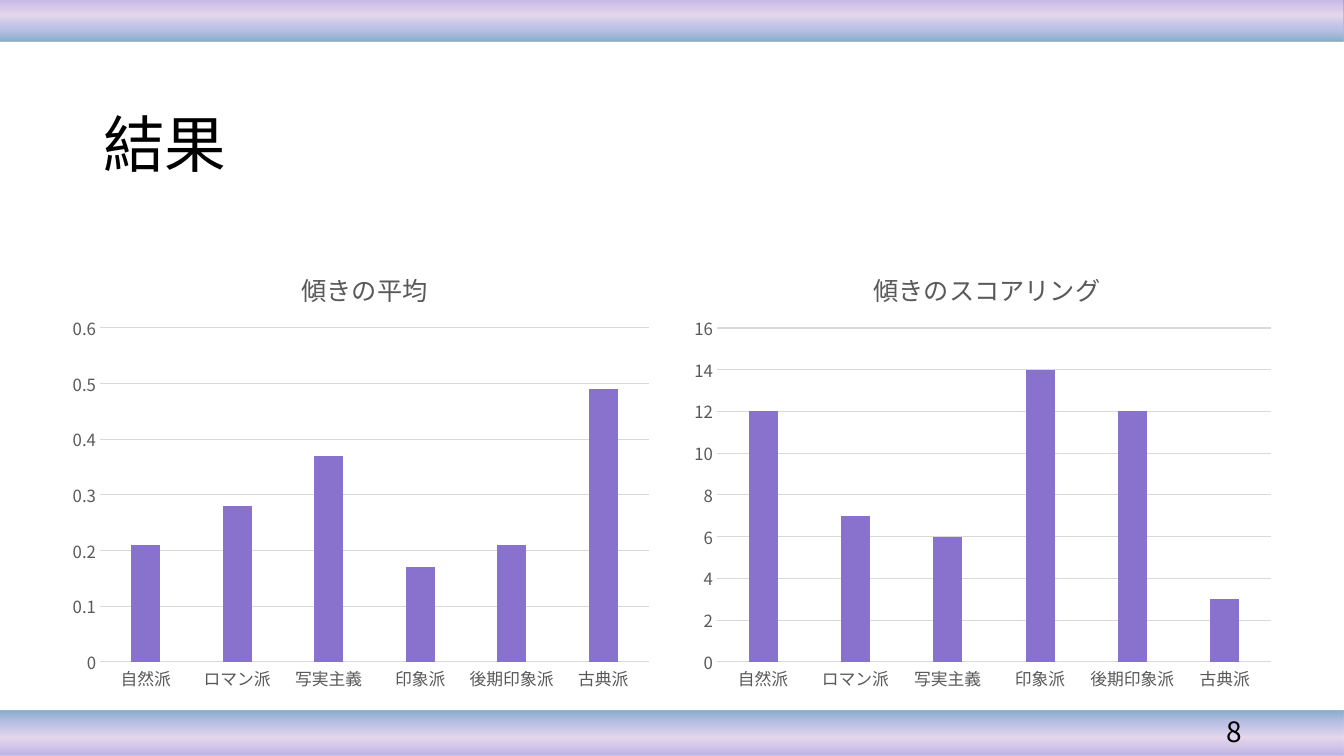
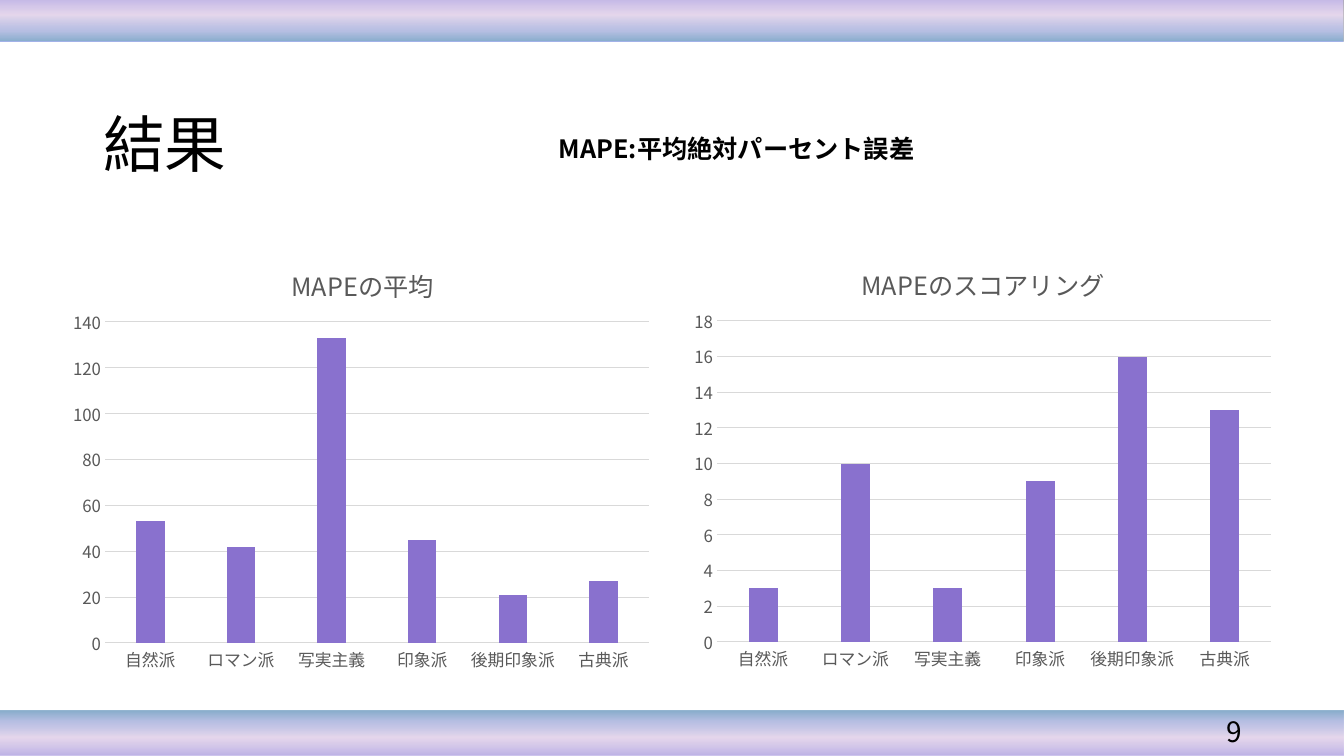
from pptx import Presentation
from pptx.chart.data import CategoryChartData
from pptx.dml.color import RGBColor
from pptx.enum.chart import XL_CHART_TYPE as ChartType, XL_TICK_MARK as TickMark
from pptx.enum.shapes import MSO_SHAPE as Preset
from pptx.enum.text import MSO_ANCHOR as Anchor, PP_ALIGN as Align
from pptx.oxml import parse_xml
from pptx.oxml.ns import nsdecls, qn
from pptx.util import Pt

EMU_PER_PX = 914400 / 100.8
SLIDE_WIDTH, SLIDE_HEIGHT = 1344, 756
FONT = "Noto Sans CJK JP"
BLACK, GREY, GRID, PURPLE = "000000", "595959", "D9D9D9", "8971CE"

# position %, colour, opacity %
BAND_STOPS = [(0, "BDB2E7", 100), (41, "E1D0E9", 83), (76, "98A4D8", 70), (100, "5389B5", 70)]
# box, direction in degrees
BANDS = [((0, -3, SLIDE_WIDTH, 45), 90), ((0, 711, SLIDE_WIDTH, 45), 270)]
TITLE_BOX = (93, 75, 1159, 146)
NUMBER_BOX = (950, 711, 302, 40)
NOTE_BOX = (549, 128, 407, 40)

TITLE_STYLE = {"size": Pt(44), "bold": False}
NUMBER_STYLE = {"size": Pt(20)}
NOTE_STYLE = {"size": Pt(18), "bold": True}
CHART_TITLE_STYLE = {"size": Pt(18), "bold": False}
AXIS_STYLE = {"size": Pt(12), "bold": False}

SCHOOLS = ["自然派", "ロマン派", "写実主義", "印象派", "後期印象派", "古典派"]
# Chart boxes, title corners and plot boxes are all in slide px.
SLIDES = [
    {
        "number": 8,
        "note": None,
        "charts": [
            {"box": (60, 240, 601, 462), "title": "傾きの平均", "title_at": (297, 263),
             "plot": (100, 328, 549, 334), "maximum": 0.6, "step": 0.1,
             "values": [0.21, 0.28, 0.37, 0.17, 0.21, 0.49]},
            {"box": (682, 240, 601, 462), "title": "傾きのスコアリング", "title_at": (869, 263),
             "plot": (717, 328, 554, 334), "maximum": 16, "step": 2,
             "values": [12, 7, 6, 14, 12, 3]},
        ],
    },
    {
        "number": 9,
        "note": "MAPE:平均絶対パーセント誤差",
        "charts": [
            {"box": (60, 240, 601, 442), "title": "MAPEの平均", "title_at": (287, 260),
             "plot": (105, 322, 544, 321), "maximum": 140, "step": 20,
             "values": [53, 42, 133, 45, 21, 27]},
            {"box": (682, 239, 601, 442), "title": "MAPEのスコアリング", "title_at": (857, 259),
             "plot": (717, 321, 554, 321), "maximum": 18, "step": 2,
             "values": [3, 10, 3, 9, 16, 13]},
        ],
    },
]


def px(length):
    return round(length * EMU_PER_PX)


def emu_box(box):
    return [px(length) for length in box]


def rgb(color):
    return RGBColor.from_string(color)


def style_font(font, style, color):
    font.name = FONT
    font.color.rgb = rgb(color)
    for name, value in style.items():
        setattr(font, name, value)


def add_east_asian_fonts(element):
    """Give every run that names a Latin font the same East Asian font."""
    for latin in list(element.iter(qn("a:latin"))):
        latin.addnext(parse_xml(f'<a:ea {nsdecls("a")} typeface="{FONT}"/>'))


def write_text(shape, text, style, align=Align.LEFT, anchor=Anchor.MIDDLE):
    frame = shape.text_frame
    frame.word_wrap = True
    frame.vertical_anchor = anchor
    paragraph = frame.paragraphs[0]
    paragraph.alignment = align
    run = paragraph.add_run()
    run.text = text
    style_font(run.font, style, BLACK)
    return paragraph


def add_bands(presentation, slide):
    """Draw the gradient bands and move them to the slide master."""
    stops = "".join(
        f'<a:gs pos="{position * 1000}"><a:srgbClr val="{color}">'
        f'<a:alpha val="{opacity * 1000}"/></a:srgbClr></a:gs>'
        for position, color, opacity in BAND_STOPS
    )
    master_tree = presentation.slide_master.shapes.element
    for index, (box, angle) in enumerate(BANDS):
        band = slide.shapes.add_shape(Preset.RECTANGLE, *emu_box(box))
        band.shadow.inherit = False
        band.line.fill.background()
        band.fill.background()
        properties = band.element.spPr
        gradient = parse_xml(
            f'<a:gradFill {nsdecls("a")} rotWithShape="1"><a:gsLst>{stops}</a:gsLst>'
            f'<a:lin ang="{angle * 60000}" scaled="0"/></a:gradFill>'
        )
        properties.replace(properties.find(qn("a:noFill")), gradient)
        band.element.nvSpPr.cNvPr.id = 100 + index
        master_tree.insert(2 + index, band.element)


def add_title(slide, text):
    title = slide.shapes.title
    title.left, title.top, title.width, title.height = emu_box(TITLE_BOX)
    write_text(title, text, TITLE_STYLE).line_spacing = 0.9


def add_text(slide, box, text, style, **placing):
    write_text(slide.shapes.add_textbox(*emu_box(box)), text, style, **placing)


def set_layout(parent, index, chart_box, place, target=""):
    """Fix a chart part at a slide place (left, top[, width, height])."""
    left, top, width, height = chart_box
    origins, sizes = (left, top, 0, 0), (width, height, width, height)
    values = "".join(
        f'<c:{name} val="{(length - origin) / size:.4f}"/>'
        for name, length, origin, size in zip("xywh", place, origins, sizes)
    )
    old_layout = parent.find(qn("c:layout"))
    if old_layout is not None:
        parent.remove(old_layout)
    parent.insert(index, parse_xml(
        f'<c:layout {nsdecls("c")}><c:manualLayout>{target}'
        f'<c:xMode val="edge"/><c:yMode val="edge"/>{values}</c:manualLayout></c:layout>'
    ))


def style_axes(chart, maximum, step):
    category_axis, value_axis = chart.category_axis, chart.value_axis
    for axis in (category_axis, value_axis):
        axis.major_tick_mark = axis.minor_tick_mark = TickMark.NONE
        style_font(axis.tick_labels.font, AXIS_STYLE, GREY)
    value_axis.minimum_scale = 0
    value_axis.maximum_scale = maximum
    value_axis.major_unit = step
    value_axis.format.line.fill.background()
    for line in (category_axis.format.line, value_axis.major_gridlines.format.line):
        line.color.rgb = rgb(GRID)
        line.width = Pt(0.75)


def add_column_chart(slide, box, title, title_at, plot, maximum, step, values):
    data = CategoryChartData()
    data.categories = SCHOOLS
    data.add_series("Series 1", values)
    chart = slide.shapes.add_chart(ChartType.COLUMN_CLUSTERED, *emu_box(box), data).chart
    style_font(chart.font, {"size": Pt(10)}, BLACK)
    chart.has_legend = False
    chart.has_title = True
    run = chart.chart_title.text_frame.paragraphs[0].add_run()
    run.text = title
    style_font(run.font, CHART_TITLE_STYLE, GREY)
    style_axes(chart, maximum, step)

    columns = chart.plots[0]
    columns.gap_width = 219
    columns.overlap = -27
    columns.vary_by_categories = False
    fill = columns.series[0].format.fill
    fill.solid()
    fill.fore_color.rgb = rgb(PURPLE)

    chart_root = chart.element.find(qn("c:chart"))
    set_layout(chart_root.find(qn("c:title")), 1, box, title_at)
    set_layout(chart_root.find(qn("c:plotArea")), 0, box, plot, '<c:layoutTarget val="inner"/>')
    add_east_asian_fonts(chart.element)


def add_result_slide(presentation, number, note, charts):
    slide = presentation.slides.add_slide(presentation.slide_layouts[5])
    add_title(slide, "結果")
    for chart in charts:
        add_column_chart(slide, **chart)
    if note:
        add_text(slide, NOTE_BOX, note, NOTE_STYLE, anchor=Anchor.TOP)
    add_text(slide, NUMBER_BOX, str(number), NUMBER_STYLE, align=Align.RIGHT)
    add_east_asian_fonts(slide.shapes.element)
    return slide


def main():
    presentation = Presentation()
    presentation.slide_width = px(SLIDE_WIDTH)
    presentation.slide_height = px(SLIDE_HEIGHT)
    slides = [add_result_slide(presentation, **content) for content in SLIDES]
    add_bands(presentation, slides[0])
    presentation.save("out.pptx")


if __name__ == "__main__":
    main()
